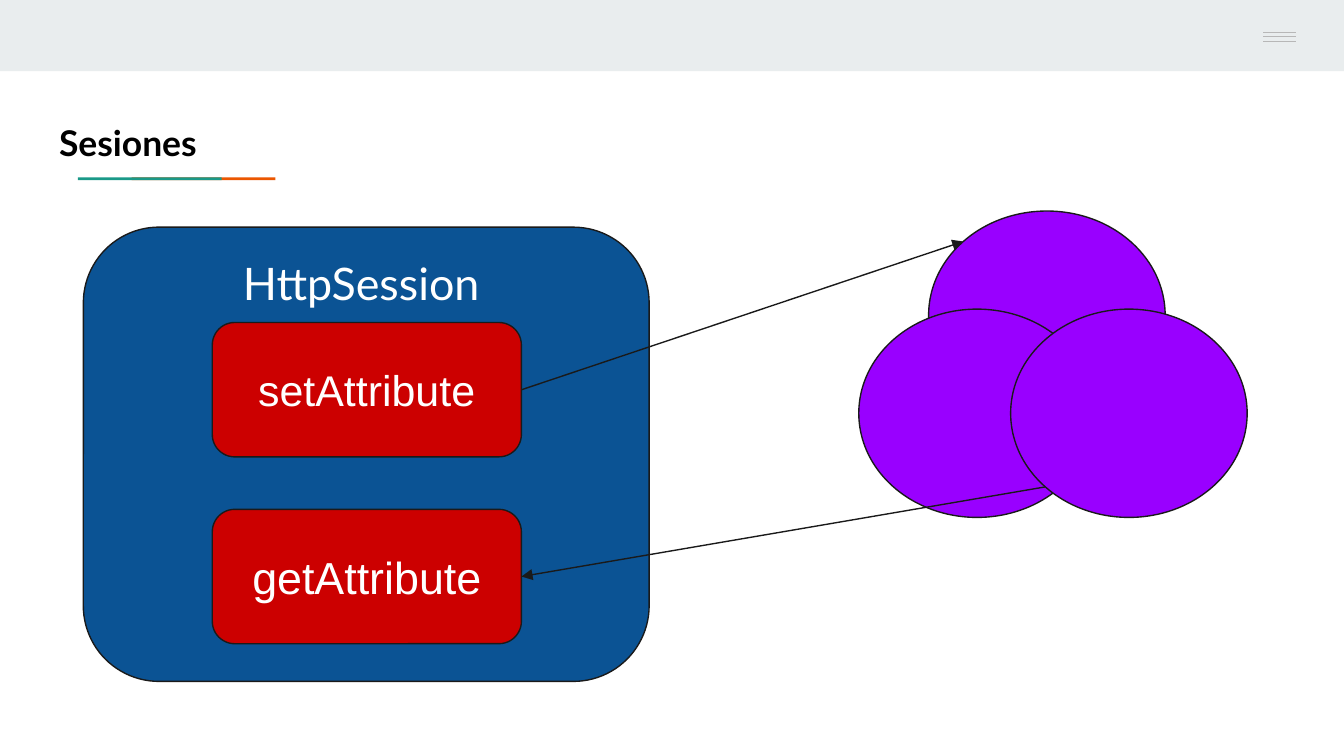
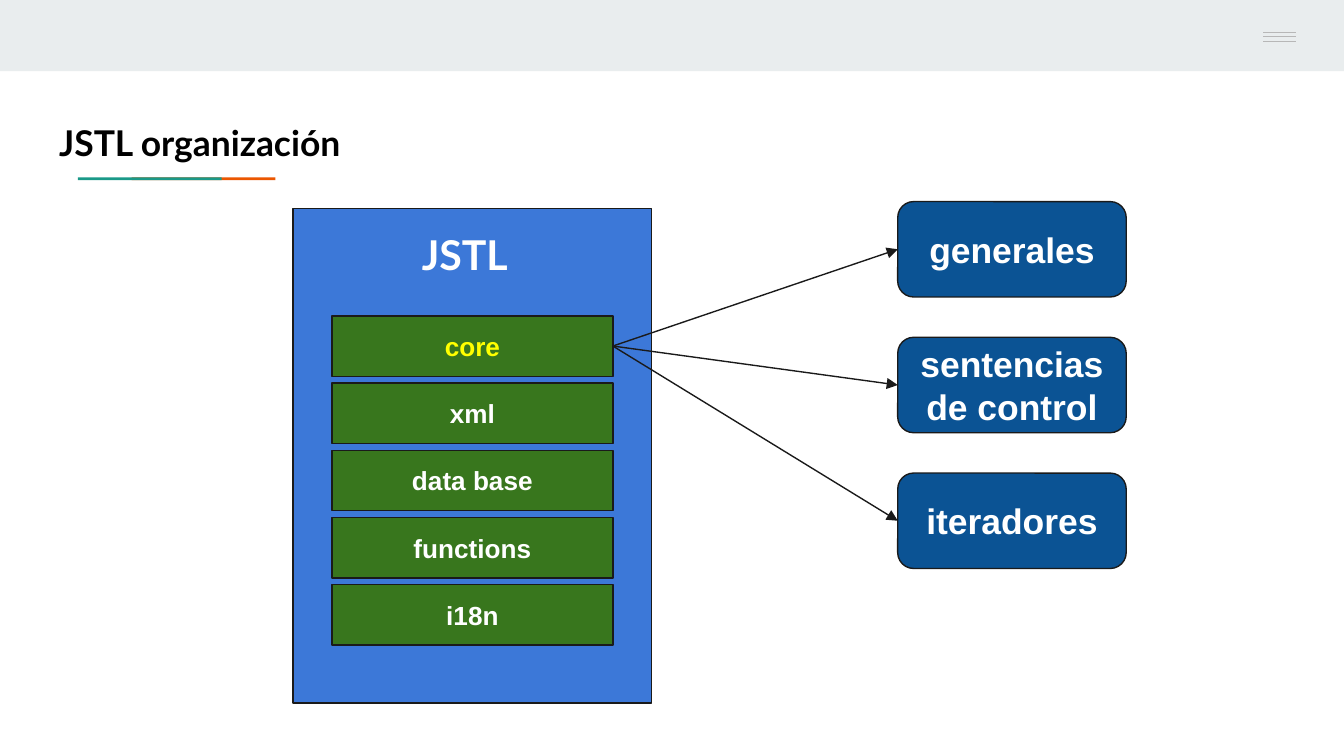
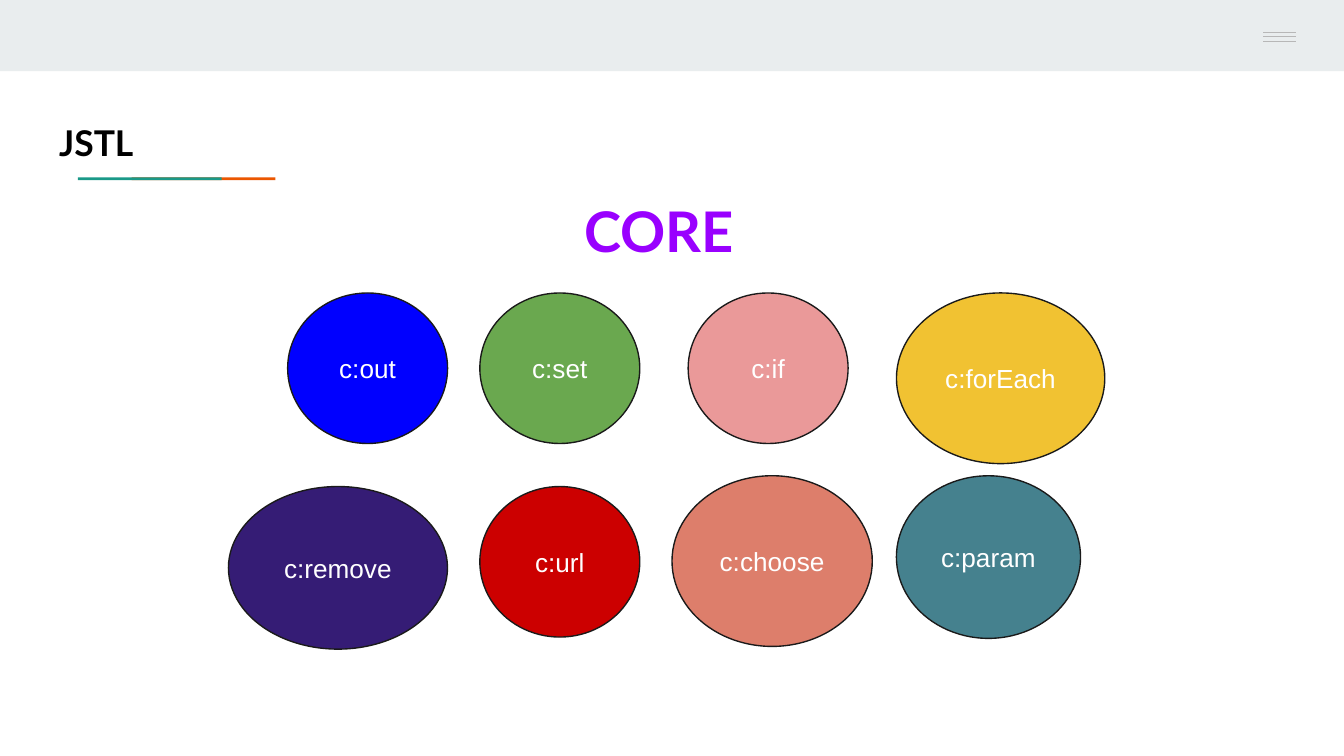
import math
from collections import namedtuple
from dataclasses import dataclass

from lxml import etree
from pptx import Presentation
from pptx.dml.color import RGBColor
from pptx.enum import shapes, text
from pptx.oxml import ns
from pptx.util import Inches, Pt


@dataclass(frozen=True)
class Theme:
    heading_font: str = "Lato"
    body_font: str = "Arial"
    black: str = "000000"
    white: str = "FFFFFF"
    outline: str = "1A1A1A"
    band: str = "E9EDEE"
    menu: str = "B7B7B7"
    teal: str = "1A9988"
    orange: str = "EB5600"
    navy: str = "0B5394"
    blue: str = "3C78D8"
    red: str = "CC0000"
    green: str = "38761D"
    yellow: str = "FFFF00"
    purple: str = "9900FF"
    bright_blue: str = "0000FF"
    leaf: str = "6AA84F"
    pink: str = "EA9999"
    gold: str = "F1C232"
    violet: str = "351C75"
    salmon: str = "DD7E6B"
    sea: str = "45818E"
    title_size: float = 19
    group_size: float = 19
    tag_size: float = 14
    setter_size: float = 23
    getter_size: float = 24
    session_size: float = 24
    library_size: float = 22
    core_size: float = 30
    line_width: float = 0.75


THEME = Theme()
RECT = shapes.MSO_SHAPE.RECTANGLE
ROUNDED = shapes.MSO_SHAPE.ROUNDED_RECTANGLE
OVAL = shapes.MSO_SHAPE.OVAL
LEFT, RIGHT = 1, 3


class Box(namedtuple("Box", "left top width height")):
    def inner(self, left, top, width, height):
        """Return a box whose corner is offset from this box's corner."""
        return Box(self.left + left, self.top + top, width, height)

    def lengths(self):
        return [Inches(value) for value in self]


def rgb(colour):
    return RGBColor.from_string(colour)


def write(shape, words, size, colour, font, bold=False, centred=False):
    frame = shape.text_frame
    frame.word_wrap = True
    frame.auto_size = text.MSO_AUTO_SIZE.NONE
    frame.margin_left = frame.margin_right = Inches(0.1)
    frame.margin_top = frame.margin_bottom = Inches(0.1)
    frame.vertical_anchor = text.MSO_ANCHOR.MIDDLE if centred else text.MSO_ANCHOR.TOP
    frame.text = words
    para = frame.paragraphs[0]
    para.alignment = text.PP_ALIGN.CENTER if centred else text.PP_ALIGN.LEFT
    para.font.name = font
    para.font.size = Pt(size)
    para.font.bold = bold
    para.font.color.rgb = rgb(colour)


def add_block(page, kind, box, fill, outlined=True):
    block = page.shapes.add_shape(kind, *box.lengths())
    block.shadow.inherit = False
    block.fill.solid()
    block.fill.fore_color.rgb = rgb(fill)
    if outlined:
        block.line.color.rgb = rgb(THEME.outline)
        block.line.width = Pt(THEME.line_width)
    else:
        block.line.fill.background()
    return block


def add_named_block(page, kind, box, fill, words, size, colour=THEME.white, bold=False):
    block = add_block(page, kind, box, fill)
    write(block, words, size, colour, THEME.body_font, bold, centred=True)
    return block


def add_heading(page, box, words, size, colour, bold=True):
    heading = page.shapes.add_textbox(*box.lengths())
    write(heading, words, size, colour, THEME.heading_font, bold)


def add_line(page, start, end, colour):
    points = [Inches(value) for value in (*start, *end)]
    line = page.shapes.add_connector(shapes.MSO_CONNECTOR.STRAIGHT, *points)
    line.line.color.rgb = rgb(colour)
    line.line.width = Pt(THEME.line_width)
    etree.SubElement(line._element.spPr, ns.qn("a:effectLst"))
    return line


def add_arrow(page, start=(0, 0), end=(0, 0)):
    arrow = add_line(page, start, end, THEME.outline)
    etree.SubElement(arrow.line._get_or_add_ln(), ns.qn("a:tailEnd"), type="triangle")
    return arrow


def oval_point(box, degrees):
    """Return the point of an oval's edge, counted clockwise from the right."""
    angle = math.radians(degrees)
    return (box.left + box.width / 2 * (1 + math.cos(angle)),
            box.top + box.height / 2 * (1 + math.sin(angle)))


def add_menu(page, box):
    add_block(page, RECT, box, THEME.band, outlined=False)
    for offset in (0.24, 0.27, 0.31):
        y = box.top + offset
        add_line(page, (box.left + 0.34, y), (box.left + 0.58, y), THEME.menu)


def add_top_band(page, box):
    add_block(page, RECT, box, THEME.band, outlined=False)
    add_menu(page, box.inner(9.06, 0, 0.94, 0.5))


def add_title(page, box, words):
    title = page.shapes.title
    title.left, title.top, title.width, title.height = box.lengths()
    write(title, words, THEME.title_size, THEME.black, THEME.heading_font, bold=True)
    for left, colour in ((0.64, THEME.orange), (0.24, THEME.teal)):
        add_block(page, RECT, box.inner(left, 0.52, 1.07, 0.02), colour, outlined=False)


def add_page(deck, title):
    page = deck.slides.add_slide(deck.slide_layouts[5])
    add_top_band(page, Box(0, 0, 10, 0.53))
    add_title(page, Box(0.34, 0.8, 3.67, 0.52), title)
    return page


def add_session(page, box):
    """Draw the session panel and return its set and get blocks."""
    add_block(page, ROUNDED, box, THEME.navy)
    methods = [
        add_named_block(page, ROUNDED, box.inner(0.96, top, 2.3, 1), THEME.red, name, size)
        for name, top, size in (("setAttribute", 0.71, THEME.setter_size),
                                ("getAttribute", 2.1, THEME.getter_size))
    ]
    add_heading(page, box.inner(1.09, 0.11, 2.3, 0.61), "HttpSession",
                THEME.session_size, THEME.white, bold=False)
    return methods


def add_stored_objects(page, box):
    """Draw three overlapping ovals and return their boxes."""
    ovals = [box.inner(left, top, 1.76, 1.55)
             for left, top in ((0.52, 0), (0, 0.73), (1.13, 0.73))]
    for oval in ovals:
        add_block(page, OVAL, oval, THEME.purple)
    return ovals


def build_sessions(deck):
    page = add_page(deck, "Sesiones")
    setter, getter = add_session(page, Box(0.62, 1.69, 4.21, 3.38))
    upper, _, lower_right = add_stored_objects(page, Box(6.39, 1.57, 2.89, 2.28))
    add_arrow(page, end=oval_point(upper, 225)).begin_connect(setter, RIGHT)
    add_arrow(page, start=oval_point(lower_right, 135)).end_connect(getter, RIGHT)


def add_library(page, box):
    """Draw the library panel and return its first module."""
    add_block(page, RECT, box, THEME.blue)
    add_heading(page, box.inner(0.86, 0.06, 1.66, 0.94), "JSTL",
                THEME.library_size, THEME.white)
    modules = []
    for row, name in enumerate(("core", "xml", "data base", "functions", "i18n")):
        colour = THEME.white if row else THEME.yellow
        modules.append(add_named_block(
            page, RECT, box.inner(0.29, 0.8 + 0.5 * row, 2.09, 0.45),
            THEME.green, name, THEME.tag_size, colour, bold=True))
    return modules[0]


def add_tag_groups(page, box):
    names = ("generales", "sentencias de control", "iteradores")
    return [
        add_named_block(page, ROUNDED, box.inner(0, 1.01 * row, box.width, 0.71),
                        THEME.navy, name, THEME.group_size, bold=True)
        for row, name in enumerate(names)
    ]


def build_organization(deck):
    page = add_page(deck, "JSTL organización")
    core = add_library(page, Box(2.18, 1.55, 2.67, 3.68))
    for group in add_tag_groups(page, Box(6.68, 1.5, 1.7, 2.73)):
        arrow = add_arrow(page)
        arrow.begin_connect(core, RIGHT)
        arrow.end_connect(group, LEFT)


def add_core_tags(page, box):
    tags = (
        ("c:url", THEME.red, 1.87, 1.44, 1.19, 1.12),
        ("c:remove", THEME.violet, 0, 1.44, 1.63, 1.21),
        ("c:forEach", THEME.gold, 4.97, 0, 1.55, 1.27),
        ("c:if", THEME.pink, 3.42, 0, 1.19, 1.12),
        ("c:set", THEME.leaf, 1.87, 0, 1.19, 1.12),
        ("c:out", THEME.bright_blue, 0.44, 0, 1.19, 1.12),
        ("c:choose", THEME.salmon, 3.3, 1.36, 1.49, 1.27),
        ("c:param", THEME.sea, 4.97, 1.36, 1.37, 1.21),
    )
    for name, fill, *place in tags:
        add_named_block(page, OVAL, box.inner(*place), fill, name, THEME.tag_size)


def build_core(deck):
    page = add_page(deck, "JSTL")
    add_core_tags(page, Box(1.7, 2.18, 6.52, 2.65))
    add_heading(page, Box(4.25, 1.36, 1.49, 0.71), "CORE", THEME.core_size, THEME.purple)


def main():
    deck = Presentation()
    deck.slide_width = Inches(10)
    deck.slide_height = deck.slide_width * 9 // 16
    build_sessions(deck)
    build_organization(deck)
    build_core(deck)
    deck.save("out.pptx")


if __name__ == "__main__":
    main()
